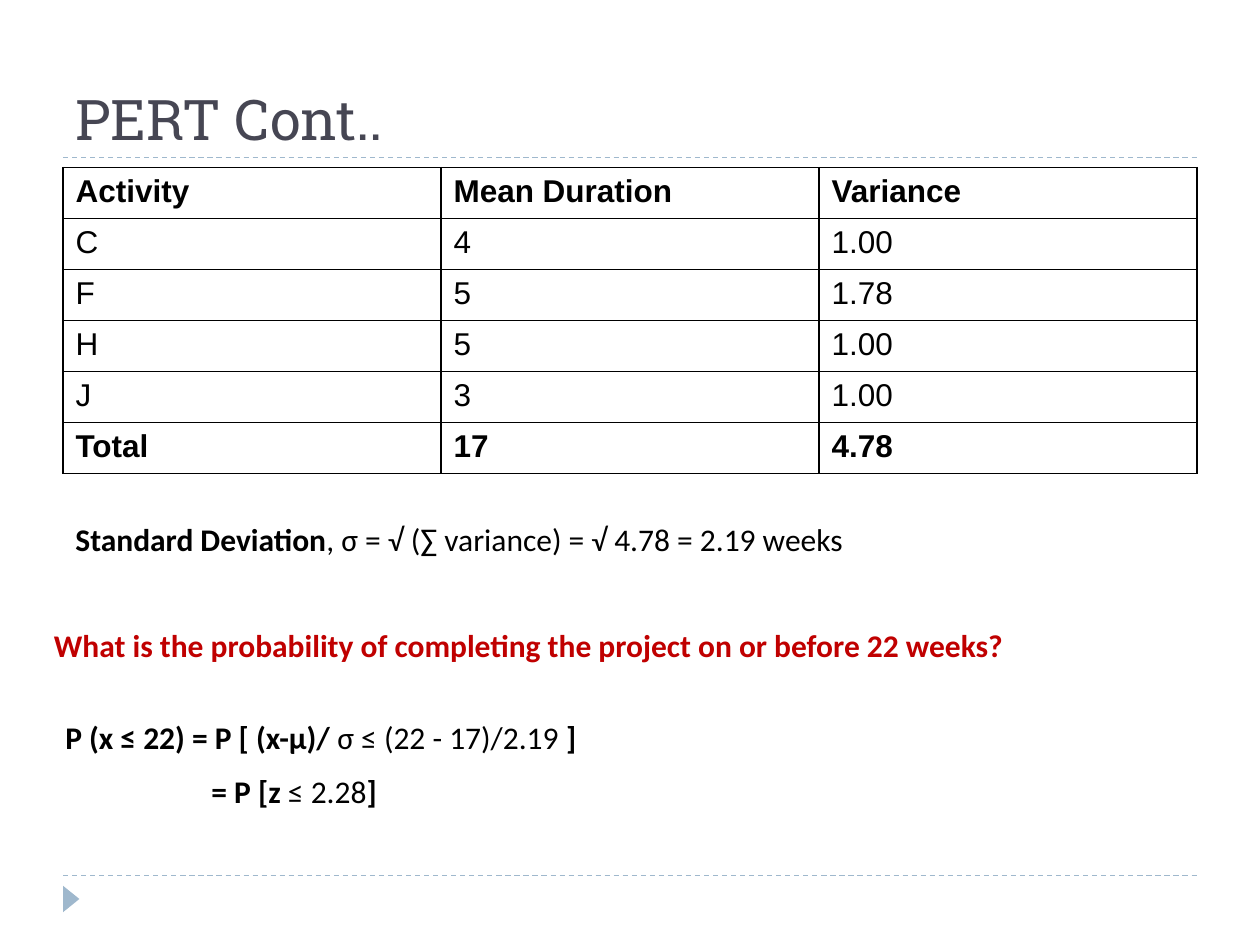
from dataclasses import dataclass

from lxml import etree
from pptx import Presentation
from pptx.dml.color import RGBColor
from pptx.enum import dml, shapes, text
from pptx.oxml import ns
from pptx.util import Emu, Pt

PX = 9144  # 100 px to the inch
BLACK, RED, SLATE, BLUE = "000000", "C00000", "464653", "9FB8CD"
MARGIN, CONTENT_WIDTH = 50, 900


@dataclass(frozen=True)
class Run:
    content: str
    bold: bool = False


@dataclass(frozen=True)
class Line:
    left: int
    top: int
    width: int
    height: int
    runs: tuple[Run, ...]
    color: str = BLACK
    font: str = "Calibri"
    size: int = 18
    anchor: text.MSO_ANCHOR = text.MSO_ANCHOR.TOP
    wrap: bool = False


TITLE = Line(MARGIN, 17, CONTENT_WIDTH, 108, (Run("PERT Cont.."),), SLATE,
             "Roboto Slab", 32, text.MSO_ANCHOR.BOTTOM, True)
STATEMENTS = (
    Line(50, 408, 682, 40, (
        Run("Standard Deviation", True),
        Run(", σ = √ (∑ variance) = √ 4.78 = 2.19 weeks"))),
    Line(42, 565, 473, 40, (
        Run("P (x ≤ 22) = P [ (x-µ)/", True),
        Run(" σ ≤ (22 - 17)/2.19"),
        Run(" ]", True))),
    Line(158, 608, 173, 40, (
        Run("= P [z", True), Run(" ≤ 2.28"), Run("]", True))),
    Line(33, 492, 874, 40, (
        Run("What is the probability of completing the project "
            "on or before 22 weeks?", True),), RED, wrap=True),
)
ACTIVITIES = (
    ("Activity", "Mean Duration", "Variance"),
    ("C", "4", "1.00"),
    ("F", "5", "1.78"),
    ("H", "5", "1.00"),
    ("J", "3", "1.00"),
    ("Total", "17", "4.78"),
)


def px(*lengths: int) -> list[Emu]:
    return [Emu(length * PX) for length in lengths]


def rgb(value: str) -> RGBColor:
    return RGBColor.from_string(value)


def add_run(paragraph, run: Run, font: str, size: int, color: str) -> None:
    piece = paragraph.add_run()
    piece.text = run.content
    formats = {"name": font, "size": Pt(size), "bold": run.bold}
    for key, value in formats.items():
        setattr(piece.font, key, value)
    piece.font.color.rgb = rgb(color)


def add_line(slide, line: Line) -> None:
    box = slide.shapes.add_textbox(
        *px(line.left, line.top, line.width, line.height))
    frame = box.text_frame
    formats = {"word_wrap": line.wrap, "vertical_anchor": line.anchor}
    for key, value in formats.items():
        setattr(frame, key, value)
    for run in line.runs:
        add_run(frame.paragraphs[0], run, line.font, line.size, line.color)


def add_rule(slide, top: int) -> None:
    rule = slide.shapes.add_connector(
        shapes.MSO_CONNECTOR.STRAIGHT,
        *px(MARGIN, top, MARGIN + CONTENT_WIDTH, top))
    rule.line.color.rgb = rgb(BLUE)
    rule.line.width = Pt(0.75)
    rule.line.dash_style = dml.MSO_LINE.DASH
    etree.SubElement(rule._element.spPr, ns.qn("a:effectLst"))


def add_marker(slide) -> None:
    marker = slide.shapes.add_shape(
        shapes.MSO_SHAPE.ISOSCELES_TRIANGLE, *px(46, 707, 21, 13))
    marker.rotation = 90
    marker.shadow.inherit = False
    marker.fill.solid()
    marker.fill.fore_color.rgb = rgb(BLUE)
    marker.line.fill.background()


def add_borders(cell, color: str, width: int) -> None:
    properties = cell._tc.get_or_add_tcPr()
    for index, side in enumerate(("lnL", "lnR", "lnT", "lnB")):
        border = etree.Element(ns.qn(f"a:{side}"), w=str(Pt(width)))
        fill = etree.SubElement(border, ns.qn("a:solidFill"))
        etree.SubElement(fill, ns.qn("a:srgbClr"), val=color)
        properties.insert(index, border)


def add_activities(slide) -> None:
    table = slide.shapes.add_table(
        len(ACTIVITIES), len(ACTIVITIES[0]),
        *px(MARGIN, 133, CONTENT_WIDTH, 243)).table
    table.first_row = table.horz_banding = False
    for row, values in enumerate(ACTIVITIES):
        bold = row in (0, len(ACTIVITIES) - 1)
        for column, value in enumerate(values):
            cell = table.cell(row, column)
            cell.fill.background()
            add_borders(cell, BLACK, 1)
            add_run(cell.text_frame.paragraphs[0], Run(value, bold),
                    "Arial", 18, BLACK)


def main() -> None:
    deck = Presentation()
    deck.slide_width, deck.slide_height = px(1000, 750)
    slide = deck.slides.add_slide(deck.slide_layouts[6])

    # Rules and footer marker
    for top in (695, 125):
        add_rule(slide, top)
    add_marker(slide)

    # Title, activity table and calculations
    add_line(slide, TITLE)
    add_activities(slide)
    for statement in STATEMENTS:
        add_line(slide, statement)

    deck.save("out.pptx")


if __name__ == "__main__":
    main()
